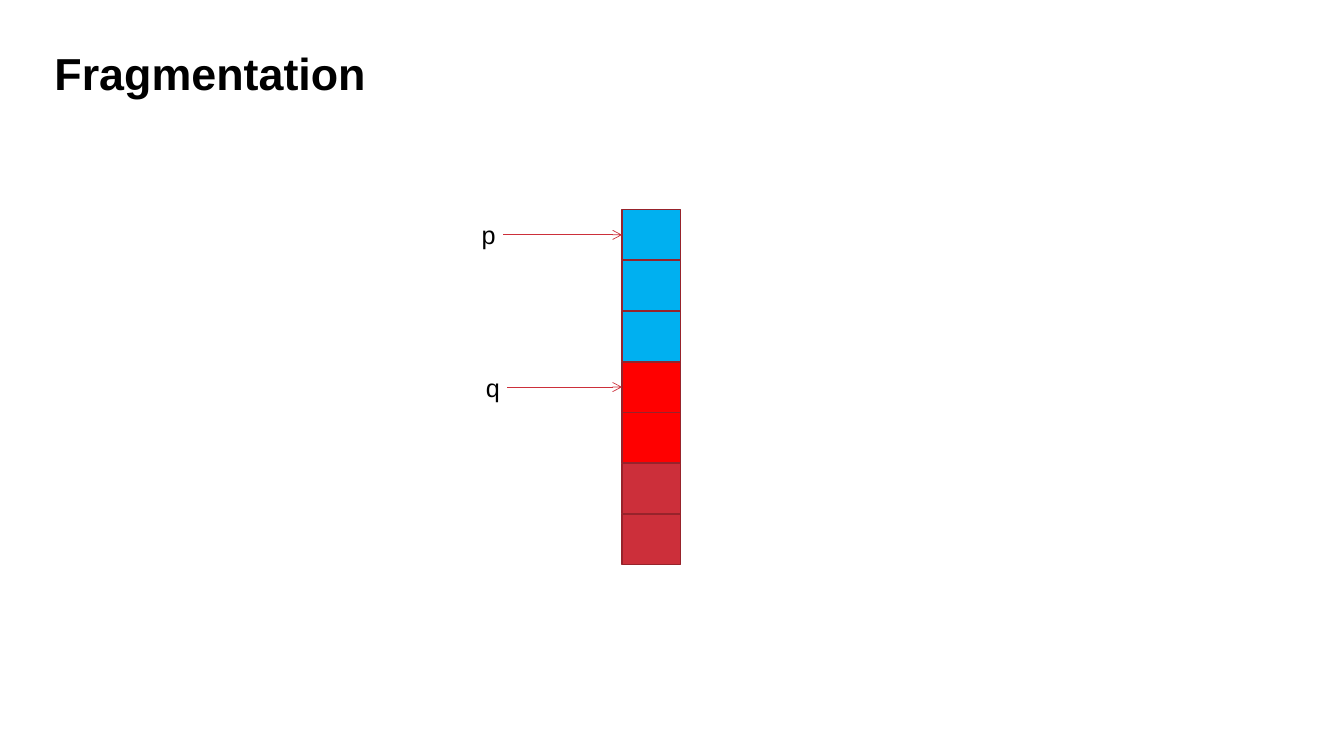
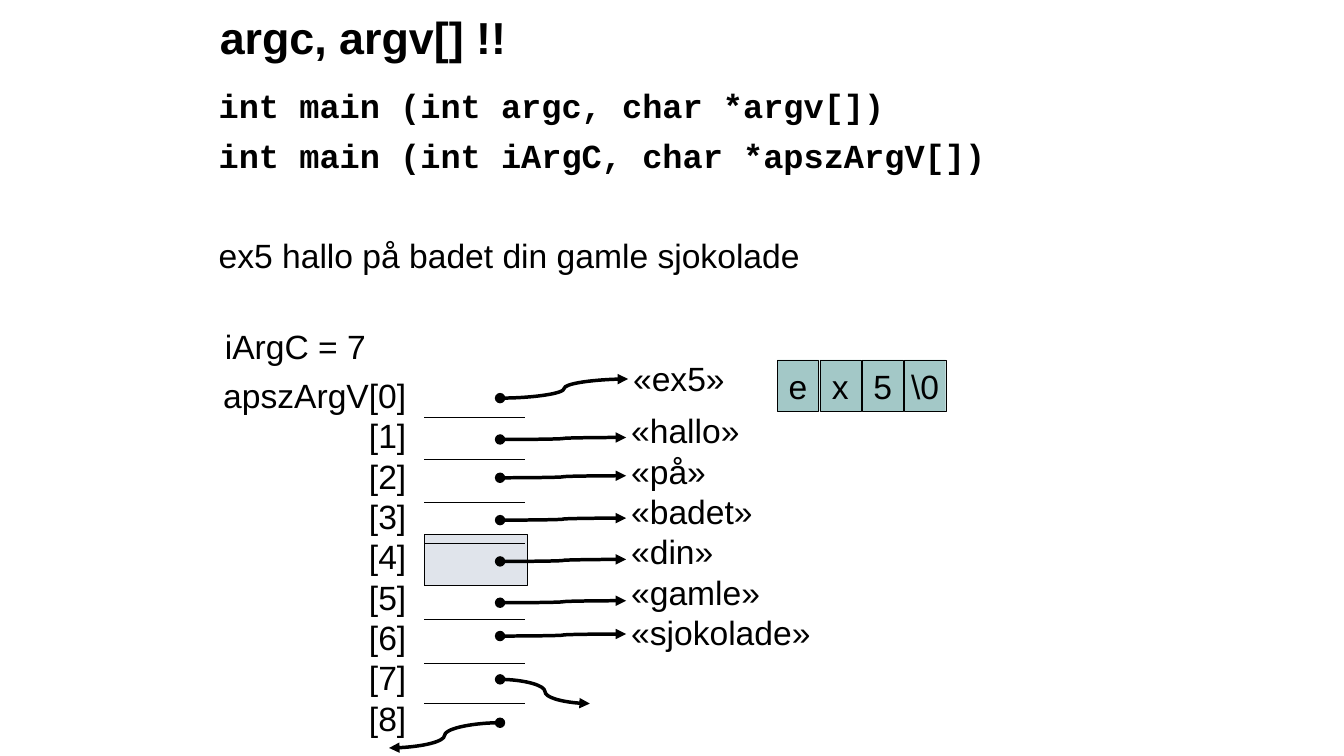
import pptx
import pptx.dml.color
import pptx.enum.shapes
import pptx.enum.text
import pptx.oxml.ns
import pptx.util
from lxml import etree

Inches = pptx.util.Inches
Pt = pptx.util.Pt
ALIGN = pptx.enum.text.PP_ALIGN
ANCHOR = pptx.enum.text.MSO_ANCHOR
CONNECTOR = pptx.enum.shapes.MSO_CONNECTOR
TITLE_ONLY_LAYOUT = 5

COLORS = {
    "black": "000000",
    "first block": "00B0F0",
    "second block": "FF0000",
    "free block": "CC2F3A",
    "block border": "97232B",
    "highlight": "E0E4EB",
    "character": "A3C8C7",
}


def rgb(name):
    return pptx.dml.color.RGBColor.from_string(COLORS[name])


def write_text(shape, lines, size=24, font="Arial", bold=False, align=ALIGN.LEFT,
               anchor=ANCHOR.TOP, inset=0.05, wrap=False, line_spacing=None):
    """Fill a shape with one paragraph per line and return the paragraphs."""
    frame = shape.text_frame
    frame.word_wrap = wrap
    frame.auto_size = pptx.enum.text.MSO_AUTO_SIZE.NONE
    frame.vertical_anchor = anchor
    frame.margin_left = frame.margin_right = Inches(inset)
    frame.margin_top = frame.margin_bottom = Inches(0.05)
    frame.text = "\n".join(lines)
    for paragraph in frame.paragraphs:
        paragraph.alignment = align
        paragraph.line_spacing = line_spacing
        paragraph.font.size = Pt(size)
        paragraph.font.name = font
        paragraph.font.bold = bold
        paragraph.font.color.rgb = rgb("black")
    return frame.paragraphs


def add_text(slide, box, lines, **text_format):
    shape = slide.shapes.add_textbox(*map(Inches, box))
    return write_text(shape, lines, **text_format)


def add_titled_slide(presentation, title, box):
    slide = presentation.slides.add_slide(presentation.slide_layouts[TITLE_ONLY_LAYOUT])
    shape = slide.shapes.title
    shape.left, shape.top, shape.width, shape.height = map(Inches, box)
    write_text(shape, [title], size=32, bold=True, inset=0.1, wrap=True, line_spacing=0.9)
    return slide


def add_cell(slide, box, fill, border="black", border_width=0.25):
    cell = slide.shapes.add_shape(pptx.enum.shapes.MSO_SHAPE.RECTANGLE, *map(Inches, box))
    cell.shadow.inherit = False
    cell.fill.solid()
    cell.fill.fore_color.rgb = rgb(fill)
    cell.line.color.rgb = rgb(border)
    cell.line.width = Pt(border_width)
    return cell


def add_line(slide, start, end, color="black", width=0.25, kind=CONNECTOR.STRAIGHT,
             head=None, tail=None):
    """Draw a connector; head marks its start and tail its end."""
    line = slide.shapes.add_connector(kind, *map(Inches, start + end))
    line.line.color.rgb = rgb(color)
    line.line.width = Pt(width)
    outline = line.line._get_or_add_ln()
    for tag, style in (("a:headEnd", head), ("a:tailEnd", tail)):
        if style:
            etree.SubElement(outline, pptx.oxml.ns.qn(tag), type=style)
    etree.SubElement(line._element.spPr, pptx.oxml.ns.qn("a:effectLst"))


def add_pointer(slide, start, end):
    add_line(slide, start, end, width=2.5, kind=CONNECTOR.CURVE, head="oval", tail="triangle")


def build_fragmentation(presentation):
    slide = add_titled_slide(presentation, "Fragmentation", (0.44, 0.46, 9.87, 1.12))
    blocks = ["first block"] * 3 + ["second block"] * 2 + ["free block"] * 2
    left, top, width, height = 6.17, 2.08, 0.58, 0.5
    pitch = (5.1 - top) / (len(blocks) - 1)
    for index, block in enumerate(blocks):
        add_cell(slide, (left, top + index * pitch, width, height), block,
                 border="block border", border_width=1)

    for name, label_left, block_index in (("p", 4.68, 0), ("q", 4.72, 3)):
        middle = top + block_index * pitch + height / 2
        add_line(slide, (label_left + 0.31, middle), (left, middle),
                 color="free block", width=0.5, tail="arrow")
        add_text(slide, (label_left, middle - 0.2, 0.34, 0.4), [name], size=18, inset=0.1)


def build_arguments(presentation):
    slide = add_titled_slide(presentation, "argc, argv[] !!", (2.08, 0.11, 7.4, 0.62))
    paragraphs = add_text(
        slide, (2.07, 0.84, 8.81, 2.02),
        ["int main (int argc, char *argv[])",
         "int main (int iArgC, char *apszArgV[])",
         "ex5 hallo på badet din gamle sjokolade"],
        font="Courier New", bold=True, inset=0.1, wrap=True, line_spacing=0.9)
    paragraphs[1].space_before = Pt(10)
    command_line = paragraphs[2]
    command_line.space_before = Pt(45)
    command_line.font.name = "Arial"
    command_line.font.bold = False

    add_cell(slide, (4.21, 5.3, 1.02, 0.51), "highlight")
    for y in (4.14, 4.56, 4.98, 5.39, 5.81, 6.14, 6.58, 6.98):
        add_line(slide, (4.21, y), (5.21, y))

    add_text(slide, (2.18, 3.18, 1.52, 0.51), ["iArgC = 7"])
    add_text(slide, (2, 3.67, 2.08, 3.74),
             ["apszArgV[0]"] + [f"[{index}]" for index in range(1, 9)],
             align=ALIGN.RIGHT, wrap=True)
    add_text(slide, (6.23, 3.5, 1.03, 0.51), ["«ex5»"])
    add_text(slide, (6.21, 4.02, 1.91, 2.53),
             ["«hallo»", "«på»", "«badet»", "«din»", "«gamle»", "«sjokolade»"])

    pointer_left = 4.96
    add_pointer(slide, (pointer_left, 3.95), (6.23, 3.76))
    for y in (4.36, 4.74, 5.16, 5.57, 5.98, 6.31):
        add_pointer(slide, (pointer_left, y), (6.21, y - 0.02))
    add_pointer(slide, (pointer_left, 6.74), (5.85, 6.98))
    add_pointer(slide, (pointer_left, 7.17), (3.86, 7.42))

    for index, character in enumerate(["e", "x", "5", "\\0"]):
        cell = add_cell(slide, (7.71 + index * 0.42, 3.57, 0.41, 0.51), "character")
        write_text(cell, [character], align=ALIGN.CENTER, anchor=ANCHOR.MIDDLE, wrap=True)


def main():
    presentation = pptx.Presentation()
    presentation.slide_width = Inches(13.33)
    presentation.slide_height = Inches(7.5)
    build_fragmentation(presentation)
    build_arguments(presentation)
    presentation.save("out.pptx")


if __name__ == "__main__":
    main()
